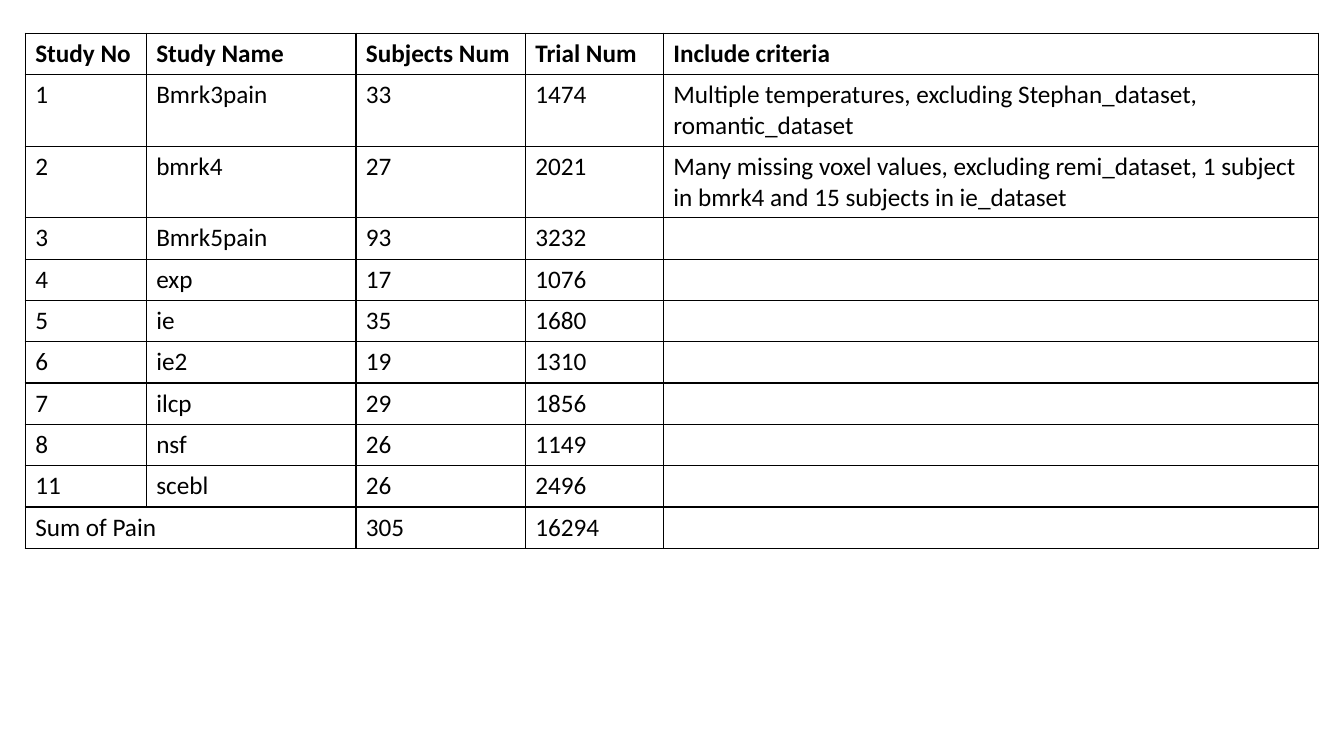
import dataclasses

import lxml.etree
import pptx
import pptx.dml.color
import pptx.oxml.ns
import pptx.util


@dataclasses.dataclass(frozen=True)
class Theme:
    font: str = "Calibri"
    text_size: int = 18
    text_color: str = "000000"
    border_color: str = "000000"
    border_width: int = 1


THEME = Theme()

HEADER = ("Study No", "Study Name", "Subjects Num", "Trial Num", "Include criteria")
STUDIES = (
    ("1", "Bmrk3pain", "33", "1474",
     "Multiple temperatures, excluding Stephan_dataset, romantic_dataset"),
    ("2", "bmrk4", "27", "2021",
     "Many missing voxel values, excluding remi_dataset, "
     "1 subject in bmrk4 and 15 subjects in ie_dataset"),
    ("3", "Bmrk5pain", "93", "3232", ""),
    ("4", "exp", "17", "1076", ""),
    ("5", "ie", "35", "1680", ""),
    ("6", "ie2", "19", "1310", ""),
    ("7", "ilcp", "29", "1856", ""),
    ("8", "nsf", "26", "1149", ""),
    ("11", "scebl", "26", "2496", ""),
)
TOTAL = ("Sum of Pain", "", "305", "16294", "")

COLUMN_WIDTHS = (1.2, 2.08, 1.68, 1.37, 6.5)
ROW_HEIGHT = 0.41
TWO_LINE_ROW_HEIGHT = 0.71


def add_borders(cell):
    """Draw a solid line on all four sides of a cell."""
    properties = cell._tc.get_or_add_tcPr()
    qualified = pptx.oxml.ns.qn
    for side in ("lnL", "lnR", "lnT", "lnB"):
        line = lxml.etree.SubElement(properties, qualified(f"a:{side}"))
        line.set("w", str(pptx.util.Pt(THEME.border_width)))
        fill = lxml.etree.SubElement(line, qualified("a:solidFill"))
        color = lxml.etree.SubElement(fill, qualified("a:srgbClr"))
        color.set("val", THEME.border_color)


def fill_cell(cell, text, bold):
    """Set the text and look of one cell."""
    add_borders(cell)
    cell.fill.background()
    if not text:
        return
    cell.text_frame.text = text
    font = cell.text_frame.paragraphs[0].runs[0].font
    font.name = THEME.font
    font.size = pptx.util.Pt(THEME.text_size)
    font.bold = bold
    font.color.rgb = pptx.dml.color.RGBColor.from_string(THEME.text_color)


def add_study_table(slide, left, top):
    rows = (HEADER, *STUDIES, TOTAL)
    # Rows with a criteria text need two lines
    heights = [TWO_LINE_ROW_HEIGHT if row in STUDIES and row[-1] else ROW_HEIGHT
               for row in rows]
    table = slide.shapes.add_table(
        len(rows), len(HEADER),
        pptx.util.Inches(left), pptx.util.Inches(top),
        pptx.util.Inches(sum(COLUMN_WIDTHS)), pptx.util.Inches(sum(heights)),
    ).table
    table.first_row = False
    table.horz_banding = False

    for column, width in zip(table.columns, COLUMN_WIDTHS):
        column.width = pptx.util.Inches(width)
    for row, height, values in zip(table.rows, heights, rows):
        row.height = pptx.util.Inches(height)
        for cell, text in zip(row.cells, values):
            fill_cell(cell, text, bold=values is HEADER)

    # The total label covers study number and name
    last = len(rows) - 1
    table.cell(last, 0).merge(table.cell(last, 1))


def main():
    presentation = pptx.Presentation()
    presentation.slide_width = pptx.util.Inches(13.33)
    presentation.slide_height = pptx.util.Inches(7.5)
    blank_layout = presentation.slide_layouts[6]
    slide = presentation.slides.add_slide(blank_layout)
    add_study_table(slide, left=0.25, top=0.33)
    presentation.save("out.pptx")


main()
